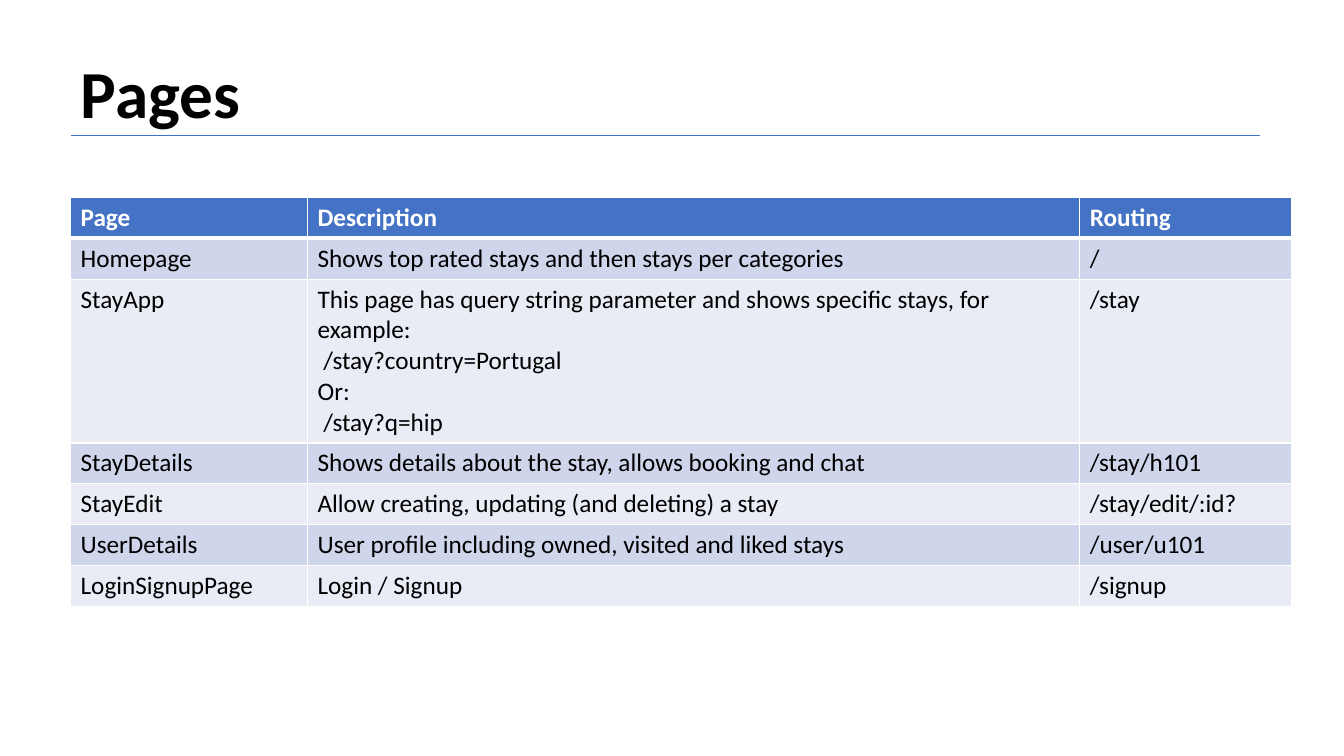
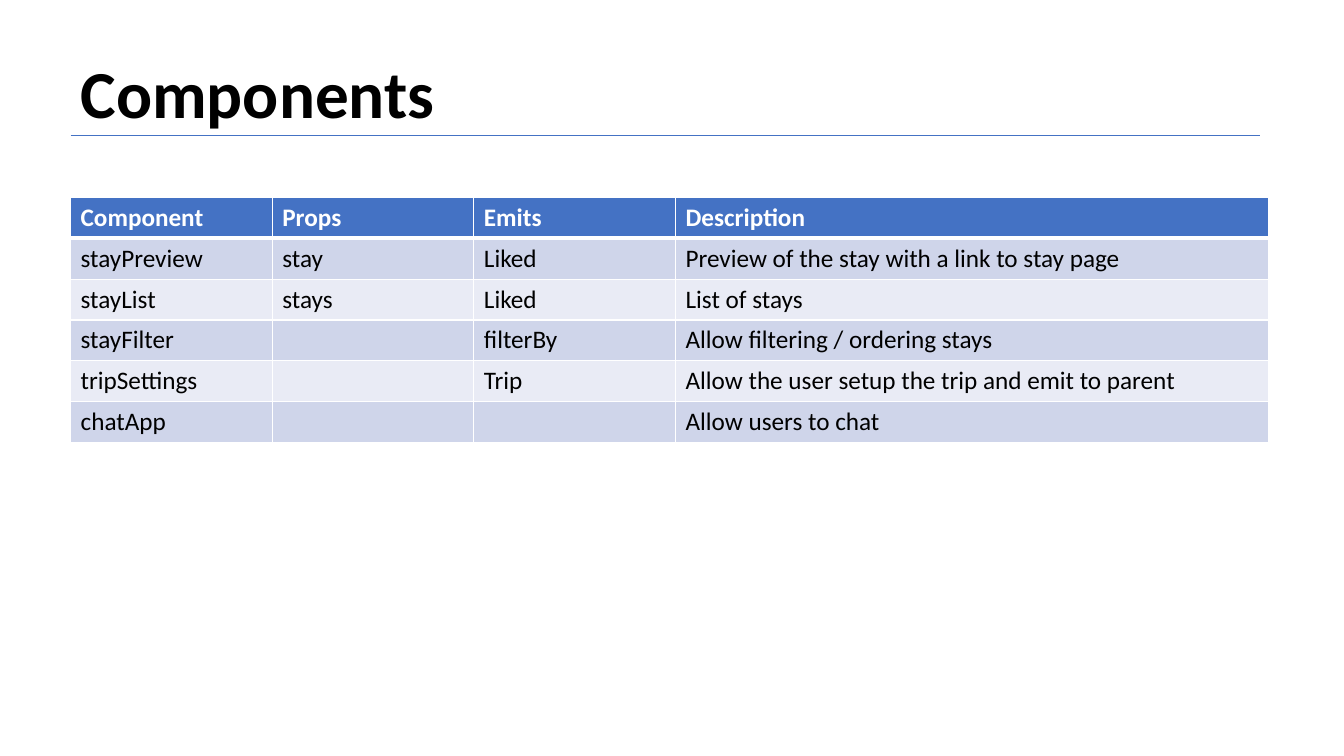
from lxml import etree
from pptx import Presentation
from pptx import util as u
from pptx.dml.color import RGBColor
from pptx.enum import shapes, text
from pptx.oxml.ns import qn

FONT = "Calibri"
BLACK, WHITE, BLUE = "000000", "FFFFFF", "4472C4"
BANDS = ("CFD5EA", "E9EBF5")
LEFT, RIGHT = 0.7, 12.5
TITLE_TOP, TITLE_HEIGHT, RULE_TOP = 0.45, 0.91, 1.34
TABLE_TOP, LINE_HEIGHT, CELL_PADDING = 1.96, 0.305, 0.1

PAGES = [
    ["Page", "Description", "Routing"],
    ["Homepage", "Shows top rated stays and then stays per categories", "/"],
    ["StayApp",
     "This page has query string parameter and shows specific stays, for example:\n"
     " /stay?country=Portugal\nOr:\n /stay?q=hip",
     "/stay"],
    ["StayDetails", "Shows details about the stay, allows booking and chat", "/stay/h101"],
    ["StayEdit", "Allow creating, updating (and deleting) a stay", "/stay/edit/:id?"],
    ["UserDetails", "User profile including owned, visited and liked stays", "/user/u101"],
    ["LoginSignupPage", "Login / Signup", "/signup"],
]
COMPONENTS = [
    ["Component", "Props", "Emits", "Description"],
    ["stayPreview", "stay", "Liked", "Preview of the stay with a link to stay page"],
    ["stayList", "stays", "Liked", "List of stays"],
    ["stayFilter", "", "filterBy", "Allow filtering / ordering stays"],
    ["tripSettings", "", "Trip", "Allow the user setup the trip and emit to parent"],
    ["chatApp", "", "", "Allow users to chat"],
]


def rgb(value):
    return RGBColor.from_string(value)


def add_run(p, content, size, color, bold=False):
    r = p.add_run()
    r.text = content
    r.font.name = FONT
    r.font.size = u.Pt(size)
    r.font.bold = bold
    r.font.color.rgb = rgb(color)


def add_title(s, content):
    sp = s.shapes.title
    sp.left, sp.top = u.Inches(LEFT), u.Inches(TITLE_TOP)
    sp.width, sp.height = u.Inches(RIGHT - LEFT), u.Inches(TITLE_HEIGHT)
    tf = sp.text_frame
    tf.word_wrap = True
    tf.auto_size = text.MSO_AUTO_SIZE.SHAPE_TO_FIT_TEXT
    tf.vertical_anchor = text.MSO_ANCHOR.MIDDLE
    p = tf.paragraphs[0]
    p.alignment = text.PP_ALIGN.LEFT
    add_run(p, content, 48, BLACK, True)


def add_rule(s):
    line = s.shapes.add_connector(
        shapes.MSO_CONNECTOR.STRAIGHT, u.Inches(LEFT), u.Inches(RULE_TOP),
        u.Inches(RIGHT), u.Inches(RULE_TOP))
    line.line.color.rgb = rgb(BLUE)
    line.line.width = u.Pt(0.5)
    etree.SubElement(line._element.spPr, qn("a:effectLst"))


def set_borders(cell, top, bottom):
    tcPr = cell._tc.get_or_add_tcPr()
    for side, width in (("L", 1), ("R", 1), ("T", top), ("B", bottom)):
        ln = etree.SubElement(tcPr, qn(f"a:ln{side}"), w=str(u.Pt(width)))
        fill = etree.SubElement(ln, qn("a:solidFill"))
        etree.SubElement(fill, qn("a:srgbClr"), val=WHITE)


def fill_cell(cell, content, row):
    header = row == 0
    set_borders(cell, 3 if row == 1 else 1, 3 if header else 1)
    cell.fill.solid()
    cell.fill.fore_color.rgb = rgb(BLUE if header else BANDS[(row - 1) % 2])
    tf = cell.text_frame
    for i, line in enumerate(content.split("\n") if content else []):
        p = tf.add_paragraph() if i else tf.paragraphs[0]
        add_run(p, line, 18, WHITE if header else BLACK, header)


def add_table(s, rows, widths, tall_rows):
    heights = [CELL_PADDING + LINE_HEIGHT * tall_rows.get(i, 1) for i in range(len(rows))]
    table = s.shapes.add_table(
        len(rows), len(widths), u.Inches(LEFT), u.Inches(TABLE_TOP),
        u.Inches(sum(widths)), u.Inches(sum(heights))).table
    for column, width in zip(table.columns, widths):
        column.width = u.Inches(width)
    for i, (row, height) in enumerate(zip(rows, heights)):
        table.rows[i].height = u.Inches(height)
        for j, content in enumerate(row):
            fill_cell(table.cell(i, j), content, i)


def add_table_slide(prs, title, rows, widths, tall_rows):
    s = prs.slides.add_slide(prs.slide_layouts[5])
    add_title(s, title)
    add_rule(s)
    add_table(s, rows, widths, tall_rows)


def main():
    prs = Presentation()
    prs.slide_width, prs.slide_height = u.Inches(13.33), u.Inches(7.5)
    add_table_slide(prs, "Pages", PAGES, [2.35, 7.66, 2.1], {2: 5})
    add_table_slide(prs, "Components", COMPONENTS, [2, 2, 2, 5.88], {})
    prs.save("out.pptx")


if __name__ == "__main__":
    main()
